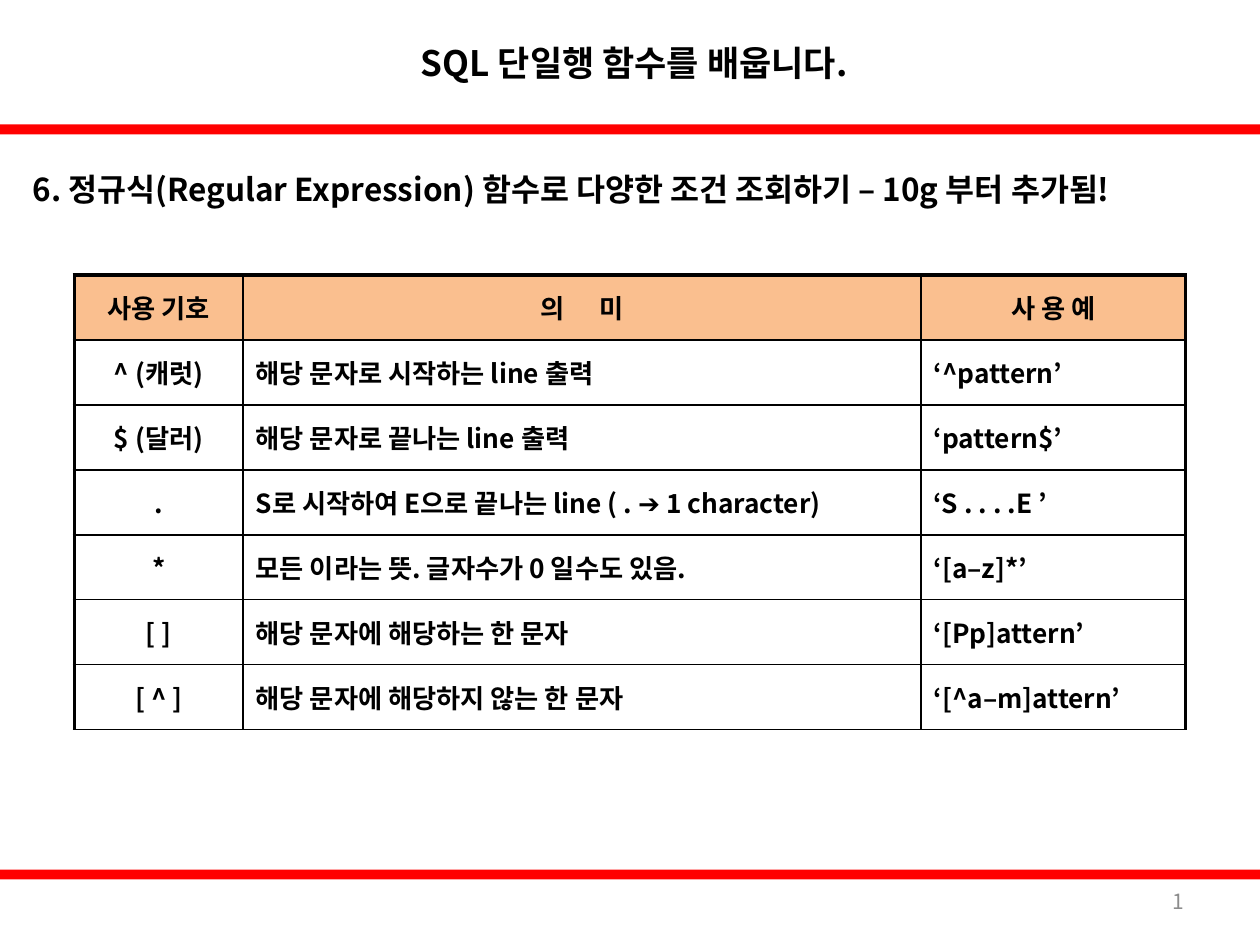
from dataclasses import dataclass
from typing import NamedTuple

from lxml import etree
from pptx import Presentation
from pptx.dml.color import RGBColor
from pptx.enum.shapes import MSO_SHAPE
from pptx.enum.text import MSO_ANCHOR, MSO_AUTO_SIZE, PP_ALIGN
from pptx.oxml.ns import qn
from pptx.util import Cm, Pt

RECTANGLE = MSO_SHAPE.RECTANGLE
MIDDLE = MSO_ANCHOR.MIDDLE
FIXED = MSO_AUTO_SIZE.NONE
LEFT, CENTER, RIGHT, JUSTIFY = PP_ALIGN.LEFT, PP_ALIGN.CENTER, PP_ALIGN.RIGHT, PP_ALIGN.JUSTIFY


@dataclass(frozen=True)
class Theme:
    font: str = "Noto Sans CJK KR"
    text: str = "000000"
    bar: str = "FF0000"
    header: str = "FABF8F"
    muted: str = "8C8C8C"
    title_size: float = 20
    heading_size: float = 18
    table_size: float = 15
    number_size: float = 12
    outer_line: float = 2.25
    inner_line: float = 1


class Area(NamedTuple):
    left: float
    top: float
    width: float
    height: float

    def lengths(self) -> list:
        return [Cm(value) for value in self]


class Span(NamedTuple):
    text: str
    spacing: float = 0


class Style(NamedTuple):
    size: float
    align: PP_ALIGN
    color: str
    bold: bool = True


THEME = Theme()
TITLE_STYLE = Style(THEME.title_size, CENTER, THEME.text)
HEADING_STYLE = Style(THEME.heading_size, LEFT, THEME.text)
NUMBER_STYLE = Style(THEME.number_size, RIGHT, THEME.muted, False)
CENTERED_CELL = Style(THEME.table_size, CENTER, THEME.text)
JUSTIFIED_CELL = Style(THEME.table_size, JUSTIFY, THEME.text)

BARS = [Area(0, top, 25.4, 0.2) for top in (2.51, 17.53)]
TITLE_AREA = Area(4.29, 0, 16.99, 2.51)
HEADING_AREA = Area(0.41, 2.51, 24.89, 2.59)
NUMBER_AREA = Area(18.21, 17.65, 5.92, 1.02)
TABLE_AREA = Area(1.5, 5.54, 22.4, 9.17)
COLUMN_WIDTHS = (3.4, 13.67, 5.33)

HEADER = [
    [Span("사용 기호")],
    [Span("의"), Span(" ", 17), Span("미")],
    [Span("사 용 예")],
]
SYMBOLS = [
    ("^ (캐럿)", "해당 문자로 시작하는 line 출력", "‘^pattern’"),
    ("$ (달러)", "해당 문자로 끝나는 line 출력", "‘pattern$’"),
    (".", "S로 시작하여 E으로 끝나는 line ( . ➔ 1 character)", "‘S . . . .E ’"),
    ("*", "모든 이라는 뜻. 글자수가 0 일수도 있음.", "‘[a–z]*’"),
    ("[ ]", "해당 문자에 해당하는 한 문자", "‘[Pp]attern’"),
    ("[ ^ ]", "해당 문자에 해당하지 않는 한 문자", "‘[^a–m]attern’"),
]


def set_values(target, values: dict) -> None:
    for name, value in values.items():
        setattr(target, name, value)


def write(frame, spans: list[Span], style: Style) -> None:
    para = frame.paragraphs[0]
    para.alignment = style.align
    for span in spans:
        run = para.add_run()
        run.text = span.text
        set_values(run.font, {"name": THEME.font, "size": Pt(style.size), "bold": style.bold})
        run.font.color.rgb = RGBColor.from_string(style.color)
        properties = run._r.get_or_add_rPr()
        etree.SubElement(properties, qn("a:ea"), typeface=THEME.font)
        if span.spacing:
            properties.set("spc", str(int(span.spacing * 100)))


def write_box(box, area: Area, text: str, style: Style) -> None:
    set_values(box, dict(zip(("left", "top", "width", "height"), area.lengths())))
    frame = box.text_frame
    set_values(frame, {"word_wrap": True, "auto_size": FIXED, "vertical_anchor": MIDDLE})
    write(frame, [Span(text)], style)


def add_bar(slide, area: Area) -> None:
    bar = slide.shapes.add_shape(RECTANGLE, *area.lengths())
    bar.shadow.inherit = False
    bar.fill.solid()
    bar.fill.fore_color.rgb = RGBColor.from_string(THEME.bar)
    bar.line.fill.background()


def add_number(slide) -> None:
    box = slide.shapes.add_textbox(*NUMBER_AREA.lengths())
    write_box(box, NUMBER_AREA, "1", NUMBER_STYLE)
    field = box.text_frame.paragraphs[0].runs[0]._r
    field.tag = qn("a:fld")
    field.set("id", "{B6F15528-21DE-4FAA-801E-634DDDAF4B2B}")
    field.set("type", "slidenum")


def set_borders(cell, widths: dict[str, float]) -> None:
    properties = cell._tc.get_or_add_tcPr()
    for side, width in widths.items():
        line = etree.SubElement(properties, qn(f"a:ln{side}"), w=str(Pt(width)))
        fill = etree.SubElement(line, qn("a:solidFill"))
        etree.SubElement(fill, qn("a:srgbClr"), val=THEME.text)


def add_symbol_table(slide) -> None:
    rows = HEADER, *([[Span(text)] for text in row] for row in SYMBOLS)
    last_column = len(COLUMN_WIDTHS) - 1
    table = slide.shapes.add_table(len(rows), len(COLUMN_WIDTHS), *TABLE_AREA.lengths()).table
    set_values(table, {"first_row": False, "horz_banding": False})
    for column, width in zip(table.columns, COLUMN_WIDTHS):
        column.width = Cm(width)
    for row_index, row in enumerate(rows):
        table.rows[row_index].height = Cm(TABLE_AREA.height / len(rows))
        for column_index, spans in enumerate(row):
            cell = table.cell(row_index, column_index)
            cell.vertical_anchor = MIDDLE
            outer_sides = {
                "L": column_index == 0,
                "R": column_index == last_column,
                "T": row_index == 0,
                "B": False,
            }
            set_borders(cell, {
                side: THEME.outer_line if outer else THEME.inner_line
                for side, outer in outer_sides.items()
            })
            if row_index == 0:
                cell.fill.solid()
                cell.fill.fore_color.rgb = RGBColor.from_string(THEME.header)
            else:
                cell.fill.background()
            centered = row_index == 0 or column_index == 0
            write(cell.text_frame, spans, CENTERED_CELL if centered else JUSTIFIED_CELL)


def main() -> None:
    deck = Presentation()
    set_values(deck, {"slide_width": Cm(25.4), "slide_height": Cm(19.05)})
    slide = deck.slides.add_slide(deck.slide_layouts[5])
    for area in BARS:
        add_bar(slide, area)
    write_box(slide.shapes.title, TITLE_AREA, "SQL 단일행 함수를 배웁니다.", TITLE_STYLE)
    add_number(slide)
    heading = slide.shapes.add_textbox(*HEADING_AREA.lengths())
    write_box(
        heading,
        HEADING_AREA,
        "6. 정규식(Regular Expression) 함수로 다양한 조건 조회하기 – 10g 부터 추가됨!",
        HEADING_STYLE,
    )
    add_symbol_table(slide)
    deck.save("out.pptx")


if __name__ == "__main__":
    main()
